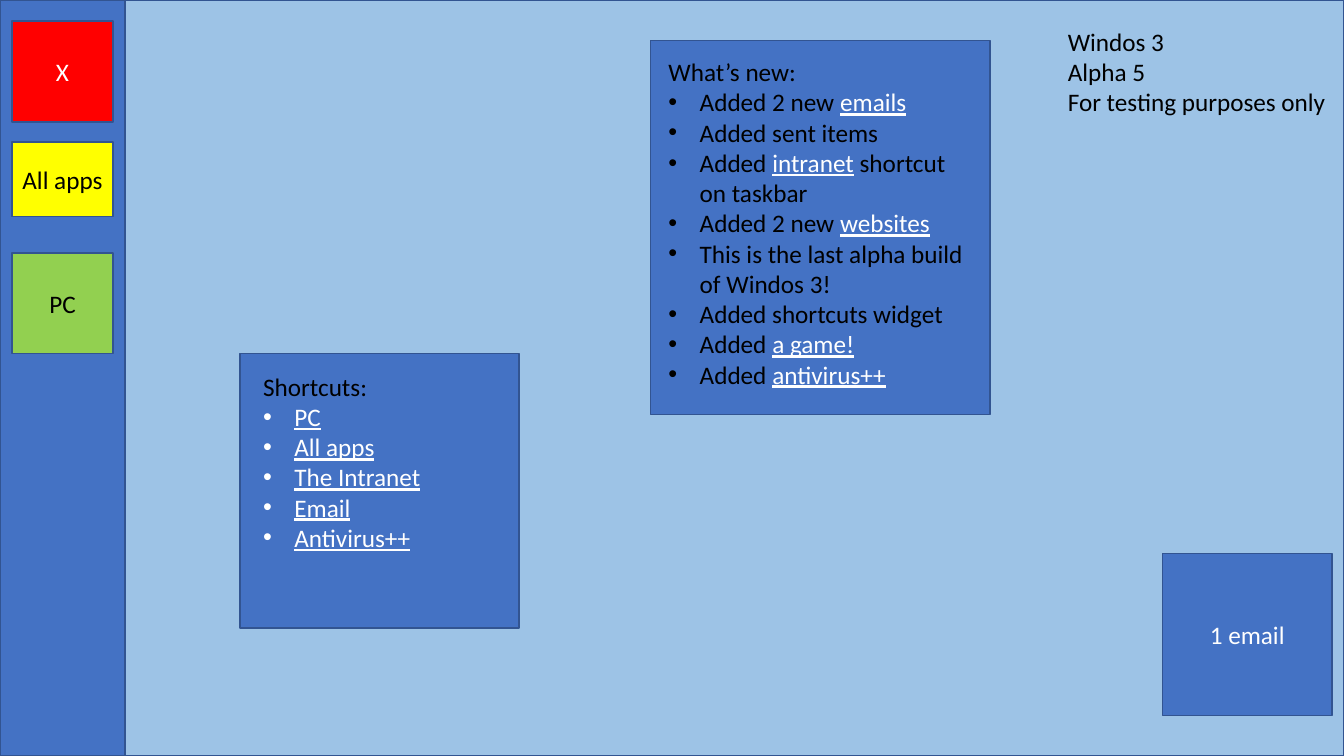
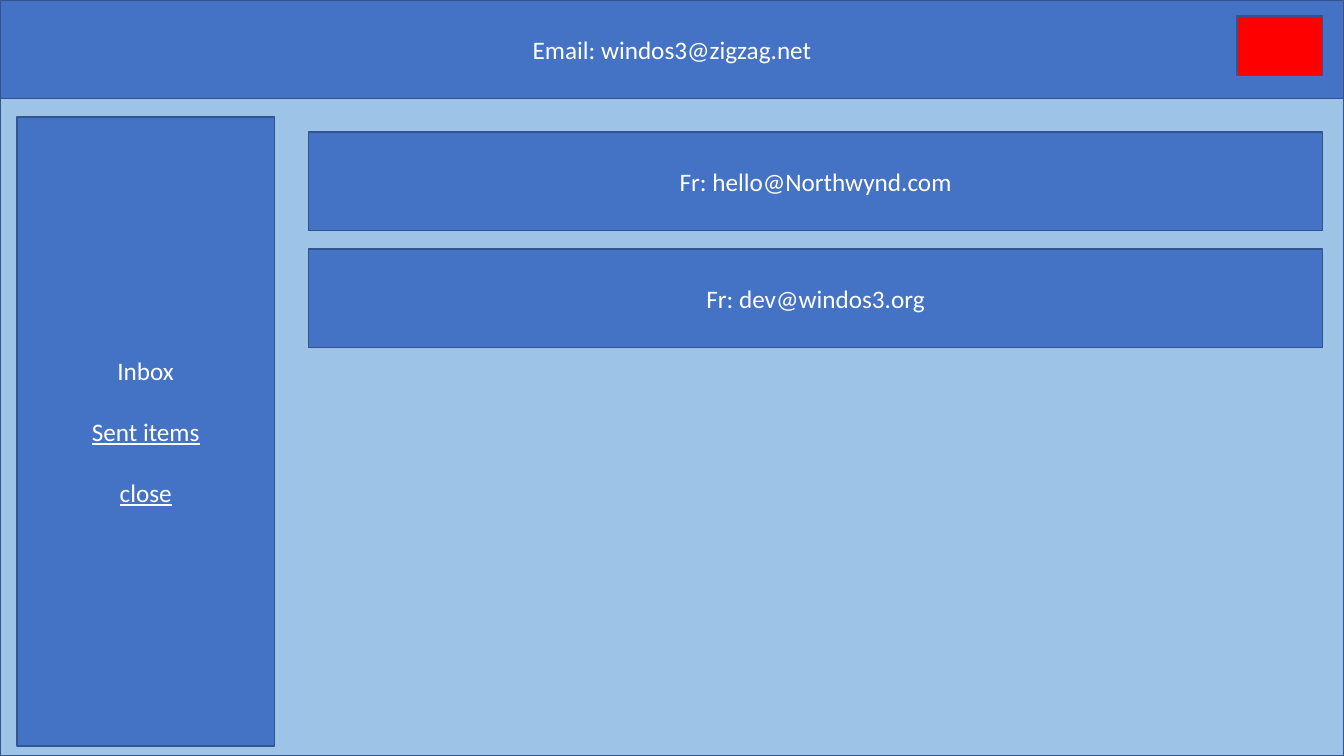
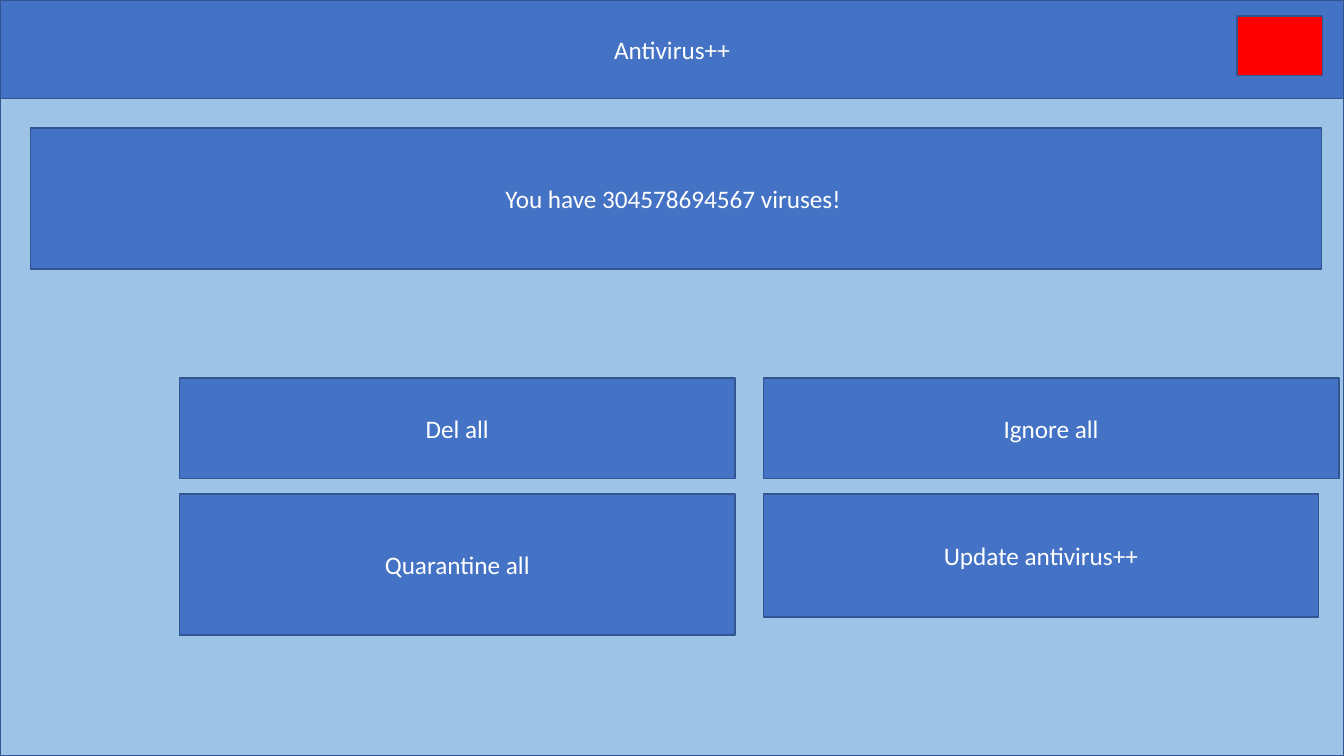
from dataclasses import dataclass

from lxml import etree
from pptx import Presentation
from pptx import util as u
from pptx.dml.color import RGBColor
from pptx.enum import shapes, text
from pptx.oxml import ns


@dataclass(frozen=True)
class Theme:
    sky: str = "9DC3E6"
    panel: str = "4472C4"
    edge: str = "325491"
    close: str = "FF0000"
    apps: str = "FFFF00"
    computer: str = "92D050"
    dark: str = "000000"
    light: str = "FFFFFF"
    font: str = "Calibri"
    size: int = 18
    edge_width: float = 1
    bullet_indent: float = 0.31


@dataclass(frozen=True)
class Box:
    left: float
    top: float
    width: float
    height: float

    def inner(self, left, top, width, height):
        """A box whose place is counted from this one's corner."""
        return Box(self.left + left, self.top + top, width, height)


class Link(str):
    """A run shown light and underlined."""


THEME = Theme()
PAGE = Box(0, 0, 13.33, 7.5)
CENTRE = text.PP_ALIGN.CENTER
MIDDLE = text.MSO_ANCHOR.MIDDLE


# Text and shape helpers

def paint(shape, fill):
    shape.fill.solid()
    shape.fill.fore_color.rgb = RGBColor.from_string(fill)
    shape.line.color.rgb = RGBColor.from_string(THEME.edge)
    shape.line.width = u.Pt(THEME.edge_width)


def set_bullet(para, shown):
    props = para._p.get_or_add_pPr()
    indent = u.Inches(THEME.bullet_indent if shown else 0)
    props.set("marL", str(indent))
    props.set("indent", str(-indent))
    if shown:
        font = etree.SubElement(props, ns.qn("a:buFont"))
        font.set("typeface", "Arial")
        etree.SubElement(props, ns.qn("a:buChar")).set("char", "•")
    else:
        etree.SubElement(props, ns.qn("a:buNone"))


def write(shape, paras, color, align=CENTRE, anchor=MIDDLE, gap=0, bulleted=False):
    """Each paragraph is a list of runs; with bullets, the first is a heading."""
    frame = shape.text_frame
    frame.word_wrap = True
    frame.auto_size = text.MSO_AUTO_SIZE.NONE
    frame.vertical_anchor = anchor
    for index, runs in enumerate(paras):
        para = frame.paragraphs[0] if index == 0 else frame.add_paragraph()
        para.alignment = align
        para.space_before = u.Pt(gap if index else 0)
        set_bullet(para, bulleted and index > 0)
        for words in runs:
            linked = isinstance(words, Link)
            span = para.add_run()
            span.text = words
            span.font.name = THEME.font
            span.font.size = u.Pt(THEME.size)
            span.font.underline = linked
            span.font.color.rgb = RGBColor.from_string(THEME.light if linked else color)


def add_tile(page, box, fill=THEME.panel, label=None, color=THEME.light):
    tile = page.shapes.add_shape(
        shapes.MSO_SHAPE.RECTANGLE, u.Inches(box.left), u.Inches(box.top),
        u.Inches(box.width), u.Inches(box.height))
    tile.shadow.inherit = False
    paint(tile, fill)
    if label:
        write(tile, [[label]], color)
    return tile


def place(page, holder, box):
    """Move a placeholder to its box, in front of what is drawn so far."""
    holder.left, holder.top = u.Inches(box.left), u.Inches(box.top)
    holder.width, holder.height = u.Inches(box.width), u.Inches(box.height)
    page.shapes._spTree.append(holder._element)
    return holder


def add_page(deck, layout):
    page = deck.slides.add_slide(deck.slide_layouts.get_by_name(layout))
    add_tile(page, PAGE, THEME.sky)
    return page


# Regions

def add_taskbar(page, box):
    add_tile(page, box)
    buttons = [("X", 0.21, 1, THEME.close, THEME.light),
               ("All apps", 1.41, 0.74, THEME.apps, THEME.dark),
               ("PC", 2.51, 1, THEME.computer, THEME.dark)]
    for label, top, height, fill, color in buttons:
        add_tile(page, box.inner(0.12, top, 1, height), fill, label, color)


def add_widget(page, holder, box, list_box, paras):
    add_tile(page, box)
    write(place(page, holder, list_box), paras, THEME.dark, text.PP_ALIGN.LEFT,
          text.MSO_ANCHOR.TOP, bulleted=True)


def add_header(page, box, title):
    bar = place(page, page.shapes.title, box)
    paint(bar, THEME.panel)
    write(bar, [[title]], THEME.light)
    add_tile(page, box.inner(12.27, 0.16, 0.85, 0.59), THEME.close)


def add_app_page(deck, title):
    page = add_page(deck, "Title Only")
    add_header(page, PAGE.inner(0, 0, PAGE.width, 0.98), title)
    return page


def add_messages(page, box, senders, height=0.98, step=1.16):
    for row, sender in enumerate(senders):
        add_tile(page, box.inner(0, row * step, box.width, height), label=f"Fr: {sender}")


def add_actions(page, box):
    columns, rows = (0, 5.79), (0, 1.15)
    actions = [("Del all", 0, 0, 5.51, 1), ("Quarantine all", 0, 1, 5.51, 1.4),
               ("Ignore all", 1, 0, 5.71, 1), ("Update antivirus++", 1, 1, 5.51, 1.22)]
    for label, column, row, width, height in actions:
        add_tile(page, box.inner(columns[column], rows[row], width, height), label=label)


# Slides

def build_desktop(deck):
    page = add_page(deck, "Two Content")
    title, news_list, shortcut_list = list(page.placeholders)
    add_taskbar(page, PAGE.inner(0, 0, 1.24, PAGE.height))
    write(place(page, title, Box(10.49, 0.21, 2.84, 1.01)),
          [["Windos 3"], ["Alpha 5"], ["For testing purposes only"]],
          THEME.dark, text.PP_ALIGN.LEFT, text.MSO_ANCHOR.TOP)

    news = Box(6.45, 0.4, 3.37, 3.71)
    add_widget(page, news_list, news, news.inner(0.08, 0.11, 3.17, 3.43), [
        ["What’s new:"],
        ["Added 2 new ", Link("emails")],
        ["Added sent items"],
        ["Added ", Link("intranet"), " shortcut on taskbar"],
        ["Added 2 new ", Link("websites")],
        ["This is the last alpha build of Windos 3!"],
        ["Added shortcuts widget"],
        ["Added ", Link("a game!")],
        ["Added ", Link("antivirus++")],
    ])
    add_tile(page, Box(11.53, 5.49, 1.68, 1.61), label="1 email")

    shortcuts = Box(2.38, 3.51, 2.77, 2.72)
    names = ["PC", "All apps", "The Intranet", "Email", "Antivirus++"]
    add_widget(page, shortcut_list, shortcuts, shortcuts.inner(0.13, 0.12, 2.64, 2.52),
               [["Shortcuts:"]] + [[Link(name)] for name in names])


def build_email(deck):
    page = add_app_page(deck, "Email: windos3@zigzag.net")
    folders = add_tile(page, Box(0.17, 1.16, 2.55, 6.24))
    write(folders, [["Inbox"], [Link("Sent items")], [Link("close")]], THEME.light, gap=22)
    add_messages(page, Box(3.06, 1.31, 10.06, 2.14),
                 ["hello@Northwynd.com", "dev@windos3.org"])


def build_antivirus(deck):
    page = add_app_page(deck, "Antivirus++")
    add_tile(page, Box(0.3, 1.27, 12.81, 1.4), label="You have 304578694567 viruses! ")
    add_actions(page, Box(1.78, 3.75, 11.5, 2.55))


def main():
    deck = Presentation()
    deck.slide_width, deck.slide_height = u.Inches(PAGE.width), u.Inches(PAGE.height)
    build_desktop(deck)
    build_email(deck)
    build_antivirus(deck)
    deck.save("out.pptx")


if __name__ == "__main__":
    main()
